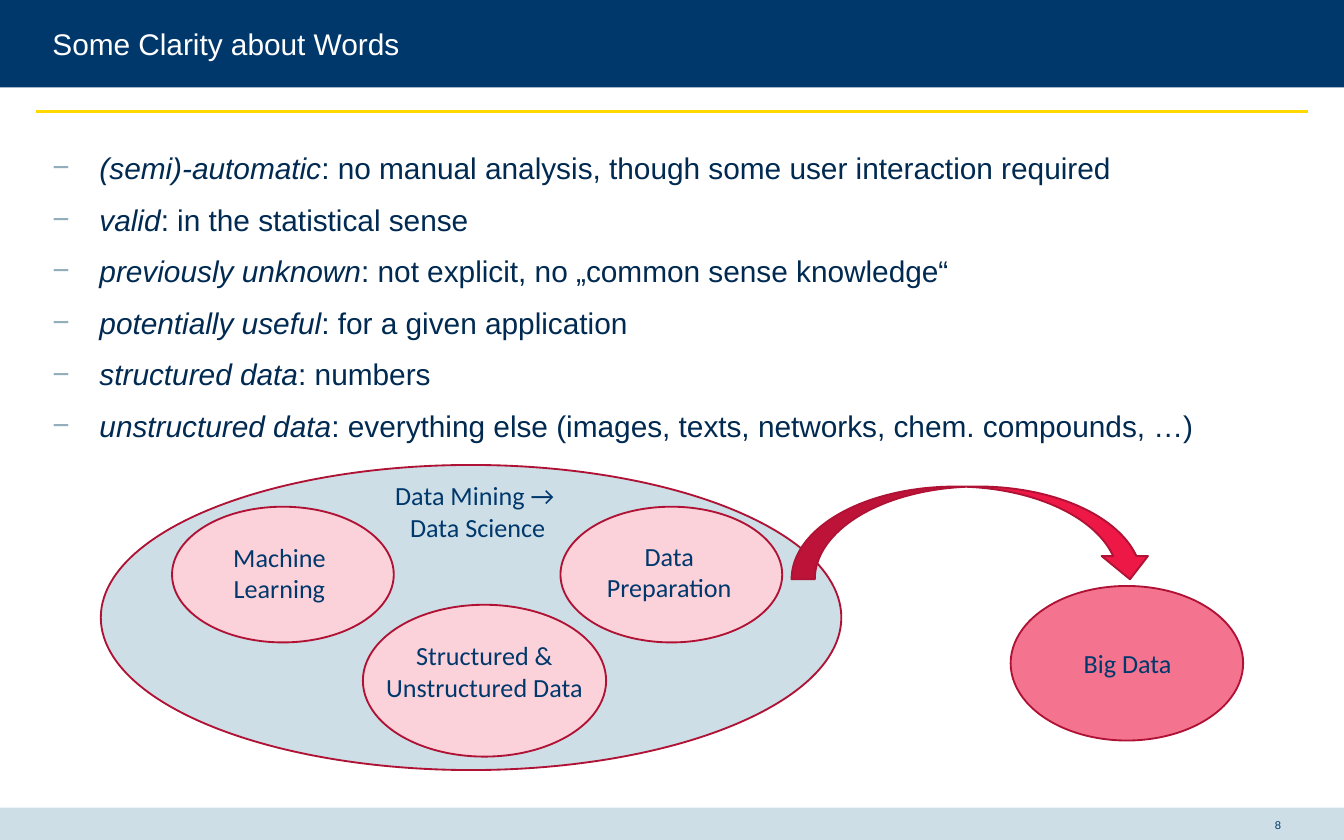
from lxml.etree import SubElement
from pptx import Presentation
from pptx.dml.color import RGBColor
from pptx.enum.shapes import MSO_CONNECTOR, MSO_SHAPE
from pptx.enum.text import MSO_ANCHOR, PP_ALIGN
from pptx.oxml.ns import qn
from pptx.util import Inches, Pt

HUES = {
    "navy": "00386C", "ink": "002A51", "pale": "CDDEE7", "gold": "FFD800",
    "dash": "92AEBC", "wine": "AF1234", "red": "ED1846", "rose": "F47490",
    "pink": "FBD1DA", "white": "FFFFFF",
}
FONTS = {
    "title": {"name": "Arial", "size": Pt(16), "hue": "white"},
    "body": {"name": "Arial", "size": Pt(16), "hue": "ink"},
    "label": {"name": "Calibri", "size": Pt(14), "hue": "navy"},
    "page": {"name": "Arial", "size": Pt(6), "hue": "navy"},
}
FLAT = {"margin_left": 0, "margin_top": 0, "margin_right": 0, "margin_bottom": 0}
TERMS = [
    ("(semi)-automatic", "no manual analysis, though some user interaction required"),
    ("valid", "in the statistical sense"),
    ("previously unknown", "not explicit, no „common sense knowledge“"),
    ("potentially useful", "for a given application"),
    ("structured data", "numbers"),
    ("unstructured data", "everything else (images, texts, networks, chem. compounds, …)"),
]


def shade(hue):
    return RGBColor.from_string(HUES[hue])


def apply(item, form):
    for key, val in form.items():
        if key == "hue":
            item.color.rgb = shade(val)
        else:
            setattr(item, key, val)


def draw(slide, kind, box, fill, edge=None):
    shape = slide.shapes.add_shape(kind, *map(Inches, box))
    shape.shadow.inherit = False
    shape.fill.solid()
    shape.fill.fore_color.rgb = shade(fill)
    if edge:
        shape.line.color.rgb = shade(edge)
        shape.line.width = Pt(1)
    else:
        shape.line.fill.background()
    return shape


def frame(slide, box, form):
    text = slide.shapes.add_textbox(*map(Inches, box)).text_frame
    apply(text, {"word_wrap": True, **form})
    return text


def write(slide, box, words, style, form, align=PP_ALIGN.LEFT):
    para = frame(slide, box, form).paragraphs[0]
    para.text = words
    para.alignment = align
    for run in para.runs:
        apply(run.font, FONTS[style])


def header(slide, box):
    left, top, width, height = box
    draw(slide, MSO_SHAPE.RECTANGLE, box, "navy")
    rule = slide.shapes.add_connector(
        MSO_CONNECTOR.STRAIGHT, Inches(left + 0.27), Inches(top + height + 0.18),
        Inches(left + width - 0.27), Inches(top + height + 0.18))
    rule.line.color.rgb = shade("gold")
    rule.line.width = Pt(1.25)
    SubElement(rule._element.spPr, qn("a:effectLst"))
    write(slide, (left + 0.39, top + 0.19, width - 0.78, 0.27),
          "Some Clarity about Words", "title", FLAT)


def footer(slide, box):
    left, top, width, height = box
    draw(slide, MSO_SHAPE.RECTANGLE, box, "pale")
    write(slide, (left + width - 0.59, top, 0.2, height), "8", "page",
          {**FLAT, "vertical_anchor": MSO_ANCHOR.MIDDLE}, PP_ALIGN.CENTER)


def bullet(para):
    props = para._p.get_or_add_pPr()
    props.set("marL", str(Inches(0.35)))
    props.set("indent", str(-Inches(0.35)))
    tint = SubElement(props, qn("a:buClr"))
    SubElement(tint, qn("a:srgbClr")).set("val", HUES["dash"])
    SubElement(props, qn("a:buFont")).set("typeface", "Arial")
    SubElement(props, qn("a:buChar")).set("char", "−")


def terms(slide, box):
    text = frame(slide, box, FLAT)
    for num, (term, sense) in enumerate(TERMS):
        para = text.add_paragraph() if num else text.paragraphs[0]
        bullet(para)
        para.line_spacing = 1.05
        para.space_before = Pt(7.5 if num else 0)
        for words, slant in ((term, True), (": " + sense, False)):
            run = para.add_run()
            run.text = words
            apply(run.font, {**FONTS["body"], "italic": slant})


def arrow(slide, box):
    left, top, width, height = box
    turned = (left + (width - height) / 2, top + (height - width) / 2, height, width)
    shape = draw(slide, MSO_SHAPE.CURVED_RIGHT_ARROW, turned, "red", "wine")
    shape.rotation = 270
    shape._element.spPr.xfrm.set("flipH", "1")


def diagram(slide, box):
    left, top, width, height = box
    nodes = [
        ((0, 0, 5.51, 2.27), "pale", (1.24, 0.06, 3.13, 0.57), "Data Mining → \nData Science"),
        ((6.77, 0.9, 1.73, 1.15), "rose", (6.93, 1.31, 1.42, 0.34), "Big Data"),
        ((1.95, 1.04, 1.81, 1.13), "pink", (1.99, 1.25, 1.73, 0.81),
         "Structured & Unstructured Data"),
        ((3.42, 0.31, 1.65, 1.01), "pink", (3.48, 0.51, 1.5, 0.57), "Data Preparation"),
        ((0.53, 0.31, 1.65, 1.01), "pink", (0.7, 0.52, 1.26, 0.57), "Machine Learning"),
    ]

    def place(part):
        return (left + part[0], top + part[1], *part[2:])

    for oval, fill, area, words in nodes:
        draw(slide, MSO_SHAPE.OVAL, place(oval), fill, "wine")
        write(slide, place(area), words, "label", {}, PP_ALIGN.CENTER)
    arrow(slide, place((5.14, 0.16, 2.69, 0.69)))


def main():
    deck = Presentation()
    deck.slide_width, deck.slide_height = Inches(10), Inches(6.25)
    slide = deck.slides.add_slide(deck.slide_layouts[6])
    header(slide, (0, 0, 10, 0.65))
    footer(slide, (0, 6.01, 10, 0.26))
    terms(slide, (0.39, 1.1, 9.22, 4.45))
    diagram(slide, (0.75, 3.46, 8.5, 2.27))
    deck.save("out.pptx")


if __name__ == "__main__":
    main()
